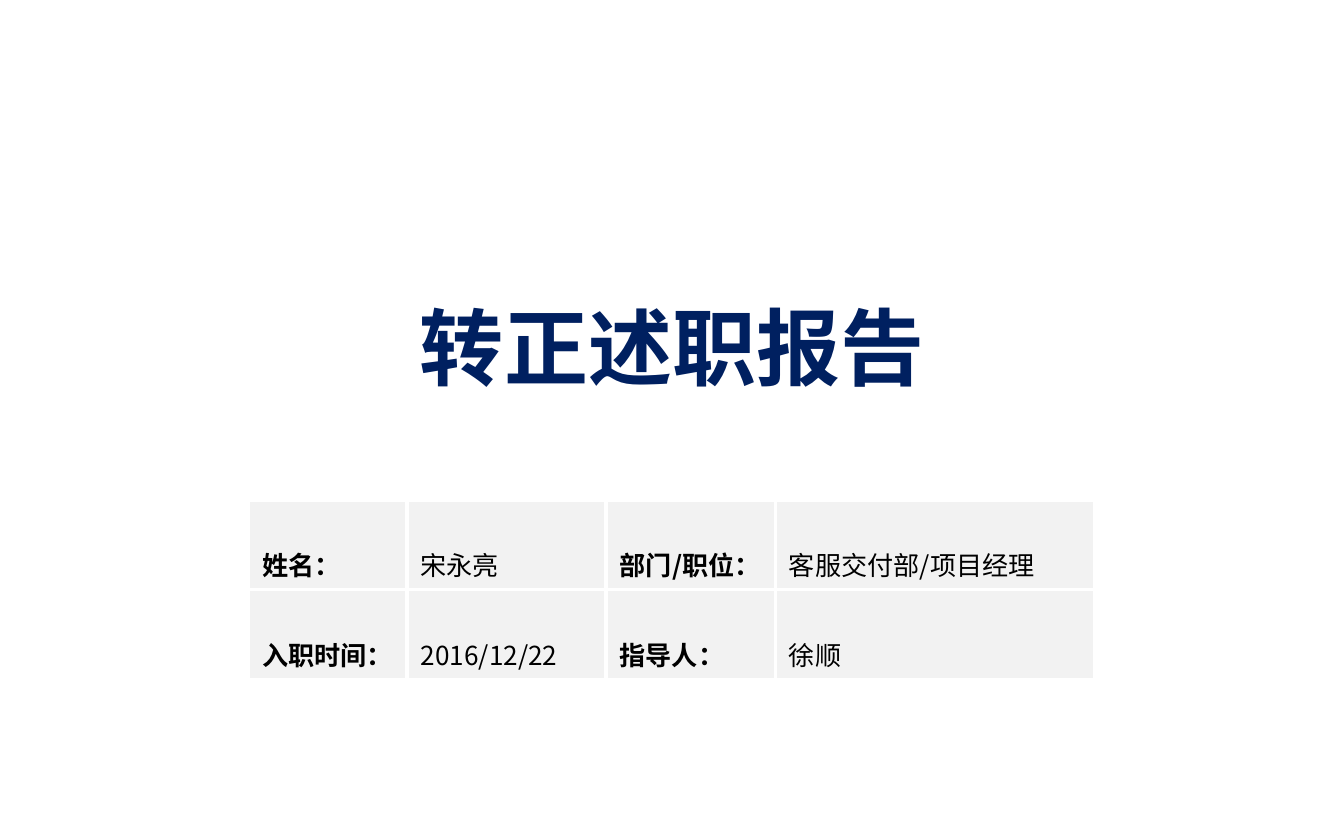
from lxml import etree
from pptx import Presentation
from pptx.dml.color import RGBColor
from pptx.enum.text import MSO_ANCHOR, PP_ALIGN
from pptx.oxml.ns import qn
from pptx.util import Inches, Pt

MIDDLE = MSO_ANCHOR.MIDDLE
CENTER = PP_ALIGN.CENTER
WHITE = RGBColor(0xFF, 0xFF, 0xFF)
BLACK = RGBColor(0, 0, 0)
NAVY = RGBColor(0x00, 0x20, 0x60)
PALE_GRAY = RGBColor(0xF2, 0xF2, 0xF2)
FONT_NAME = "Noto Sans CJK SC"
BORDER_WIDTH = Pt(2.25)

COLUMN_WIDTHS = (1.18, 1.48, 1.26, 2.38)
ROW_HEIGHT = 0.41
DETAILS = (
    ("姓名：", "宋永亮", "部门/职位：", "客服交付部/项目经理"),
    ("入职时间：", "2016/12/22", "指导人：", "徐顺"),
)


def style_paragraph(paragraph, size, color, bold):
    """Set the font of a paragraph, for Latin and East Asian text."""
    font = paragraph.font
    font.name = FONT_NAME
    font.size = Pt(size)
    font.bold = bold
    font.color.rgb = color
    latin = paragraph._p.pPr.find(qn("a:defRPr")).find(qn("a:latin"))
    east_asian = etree.Element(qn("a:ea"), typeface=FONT_NAME)
    latin.addnext(east_asian)


def add_borders(cell):
    """Draw white borders on the four sides of a cell."""
    properties = cell._tc.get_or_add_tcPr()
    for index, side in enumerate(("lnL", "lnR", "lnT", "lnB")):
        line = etree.Element(qn(f"a:{side}"), w=str(BORDER_WIDTH))
        fill = etree.SubElement(line, qn("a:solidFill"))
        etree.SubElement(fill, qn("a:srgbClr"), val=str(WHITE))
        properties.insert(index, line)


def place_title(slide, left, top, width, height):
    """Place the report title in the given box."""
    title = slide.shapes.title
    title.left, title.top = Inches(left), Inches(top)
    title.width, title.height = Inches(width), Inches(height)
    title.fill.solid()
    title.fill.fore_color.rgb = WHITE
    title.text_frame.text = "转正述职报告"
    title.text_frame.vertical_anchor = MIDDLE
    heading = title.text_frame.paragraphs[0]
    heading.alignment = CENTER
    style_paragraph(heading, 45, NAVY, True)


def add_details(slide, left, top):
    """Add the table of employee details, labels alternating with values."""
    details = slide.shapes.add_table(
        len(DETAILS), len(COLUMN_WIDTHS), Inches(left), Inches(top),
        Inches(sum(COLUMN_WIDTHS)), Inches(ROW_HEIGHT * len(DETAILS)),
    ).table
    details.first_row = False
    details.horz_banding = False
    for column, width in zip(details.columns, COLUMN_WIDTHS):
        column.width = Inches(width)
    for row_index, entries in enumerate(DETAILS):
        for column_index, entry in enumerate(entries):
            cell = details.cell(row_index, column_index)
            cell.text = entry
            cell.vertical_anchor = MIDDLE
            cell.fill.solid()
            cell.fill.fore_color.rgb = PALE_GRAY
            add_borders(cell)
            paragraph = cell.text_frame.paragraphs[0]
            paragraph.line_spacing = 2.0
            style_paragraph(paragraph, 14, BLACK, column_index % 2 == 0)


def build_cover(presentation):
    """Build the cover slide of the report."""
    slide = presentation.slides.add_slide(presentation.slide_layouts[5])
    place_title(slide, 0.75, 1.69, 8.5, 1.76)
    add_details(slide, 1.85, 3.72)


presentation = Presentation()
presentation.slide_width = Inches(10)
presentation.slide_height = Inches(6.25)
build_cover(presentation)
presentation.save("out.pptx")
